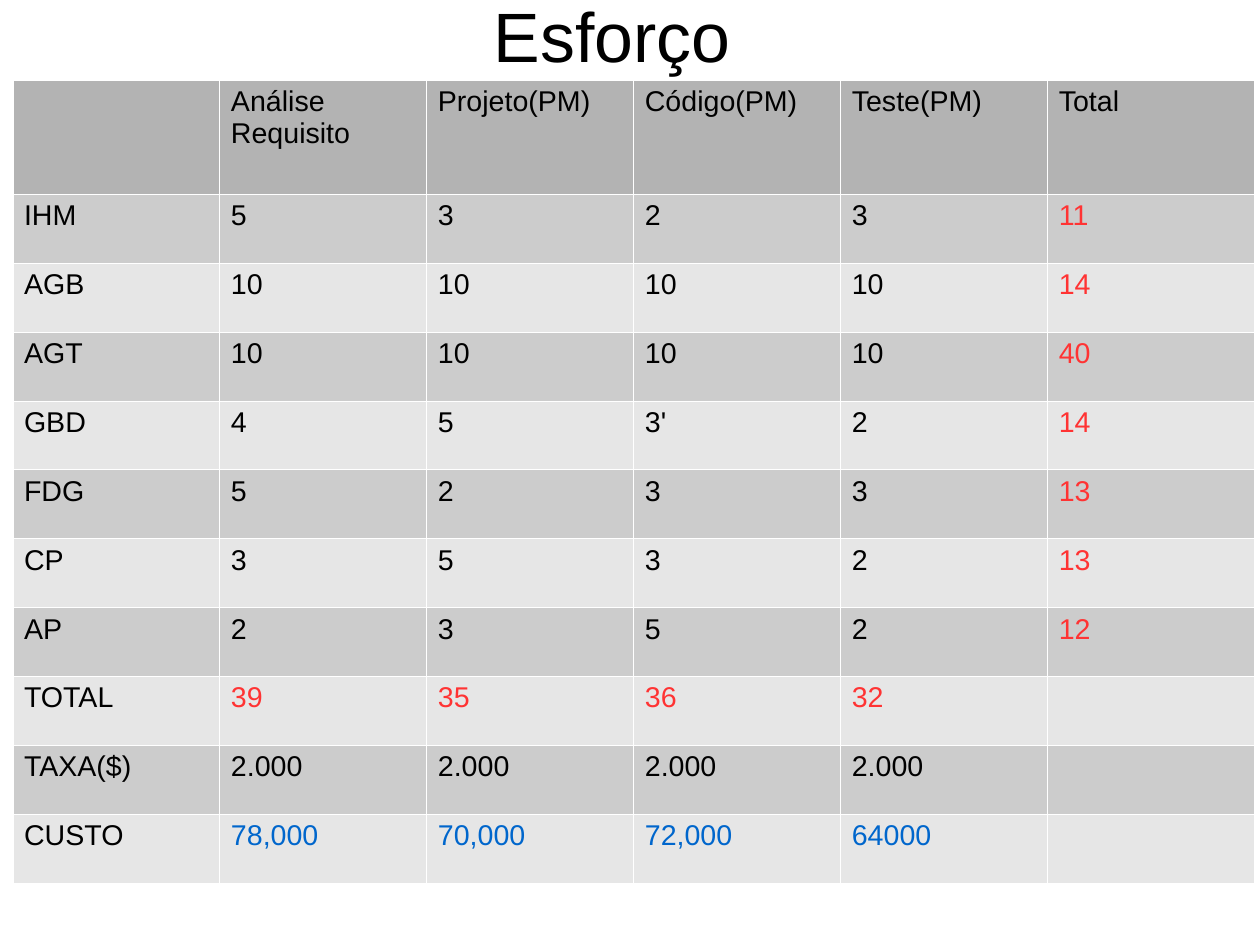
from lxml.etree import SubElement, Element
from pptx import Presentation
from pptx.dml.color import RGBColor
from pptx.enum.text import MSO_ANCHOR as Anchor, PP_ALIGN as Align
from pptx.oxml.ns import qn
from pptx.util import Cm, Pt

FONT = "Arial"
COLORS = {
    "text": "000000",
    "total": "FF3333",
    "cost": "0066CC",
    "header": "B3B3B3",
    "odd": "CCCCCC",
    "even": "E6E6E6",
    "border": "FFFFFF",
}
BORDER_WIDTH = Pt(0.06)
HEADER_WEIGHT = 1.65  # header height in body rows

TITLE = "Esforço"
EFFORT_ROWS = [
    ["", "Análise Requisito", "Projeto(PM)", "Código(PM)", "Teste(PM)", "Total"],
    ["IHM", "5", "3", "2", "3", "11"],
    ["AGB", "10", "10", "10", "10", "14"],
    ["AGT", "10", "10", "10", "10", "40"],
    ["GBD", "4", "5", "3'", "2", "14"],
    ["FDG", "5", "2", "3", "3", "13"],
    ["CP", "3", "5", "3", "2", "13"],
    ["AP", "2", "3", "5", "2", "12"],
    ["TOTAL", "39", "35", "36", "32", ""],
    ["TAXA($)", "2.000", "2.000", "2.000", "2.000", ""],
    ["CUSTO", "78,000", "70,000", "72,000", "64000", ""],
]


def grid_box(presentation, left, top, width, height):
    """Turn columns and rows of a 100 by 100 slide grid into lengths."""
    column = presentation.slide_width / 100
    row = presentation.slide_height / 100
    return [int(length) for length in
            (left * column, top * row, width * column, height * row)]


def add_run(paragraph, text, size, color):
    """Add one run of styled text."""
    run = paragraph.add_run()
    run.text = text
    run.font.name = FONT
    run.font.size = Pt(size)
    run.font.color.rgb = RGBColor.from_string(COLORS[color])


def add_title(slide, box, text):
    """Place the centred title in the box."""
    frame = slide.shapes.add_textbox(*box).text_frame
    frame.word_wrap = True
    frame.vertical_anchor = Anchor.MIDDLE
    frame.margin_left = frame.margin_right = 0
    frame.margin_top = frame.margin_bottom = 0
    paragraph = frame.paragraphs[0]
    paragraph.alignment = Align.CENTER
    paragraph.line_spacing = 0.9
    add_run(paragraph, text, 44, "text")


def add_borders(cell):
    """Draw a thin line on all four sides of the cell."""
    properties = cell._tc.get_or_add_tcPr()
    for index, side in enumerate(("a:lnL", "a:lnR", "a:lnT", "a:lnB")):
        line = Element(qn(side), w=str(BORDER_WIDTH))
        fill = SubElement(line, qn("a:solidFill"))
        SubElement(fill, qn("a:srgbClr"), val=COLORS["border"])
        properties.insert(index, line)


def text_color(row_values, column_index):
    """Choose red for sums, blue for costs and black for the rest."""
    label = row_values[0]
    if not label or column_index == 0:
        return "text"
    if label == "CUSTO":
        return "cost"
    is_sum = label == "TOTAL" or column_index == len(row_values) - 1
    return "total" if is_sum else "text"


def row_fill(row_index):
    """Choose the header grey or one of the two alternating greys."""
    if row_index == 0:
        return "header"
    return "odd" if row_index % 2 else "even"


def add_effort_table(slide, box, rows):
    """Fill the box with equal columns, a tall header and equal body rows."""
    width, height = box[2:]
    column_count = len(rows[0])
    table = slide.shapes.add_table(len(rows), column_count, *box).table
    for column in table.columns:
        column.width = width // column_count
    body_height = height / (len(rows) - 1 + HEADER_WEIGHT)
    for row_index, row_values in enumerate(rows):
        weight = 1 if row_index else HEADER_WEIGHT
        table.rows[row_index].height = int(body_height * weight)
        for column_index, value in enumerate(row_values):
            cell = table.cell(row_index, column_index)
            cell.fill.solid()
            cell.fill.fore_color.rgb = RGBColor.from_string(
                COLORS[row_fill(row_index)])
            add_borders(cell)
            if value:
                add_run(cell.text_frame.paragraphs[0], value, 18,
                        text_color(row_values, column_index))


def main():
    """Build and save the effort slide."""
    presentation = Presentation()
    presentation.slide_width = Cm(28)
    presentation.slide_height = Cm(21)
    slide = presentation.slides.add_slide(presentation.slide_layouts[6])
    add_title(slide, grid_box(presentation, 3.6, 0, 90, 8.5), TITLE)
    add_effort_table(slide, grid_box(presentation, 1, 8.5, 98.55, 84.95),
                     EFFORT_ROWS)
    presentation.save("out.pptx")


main()
